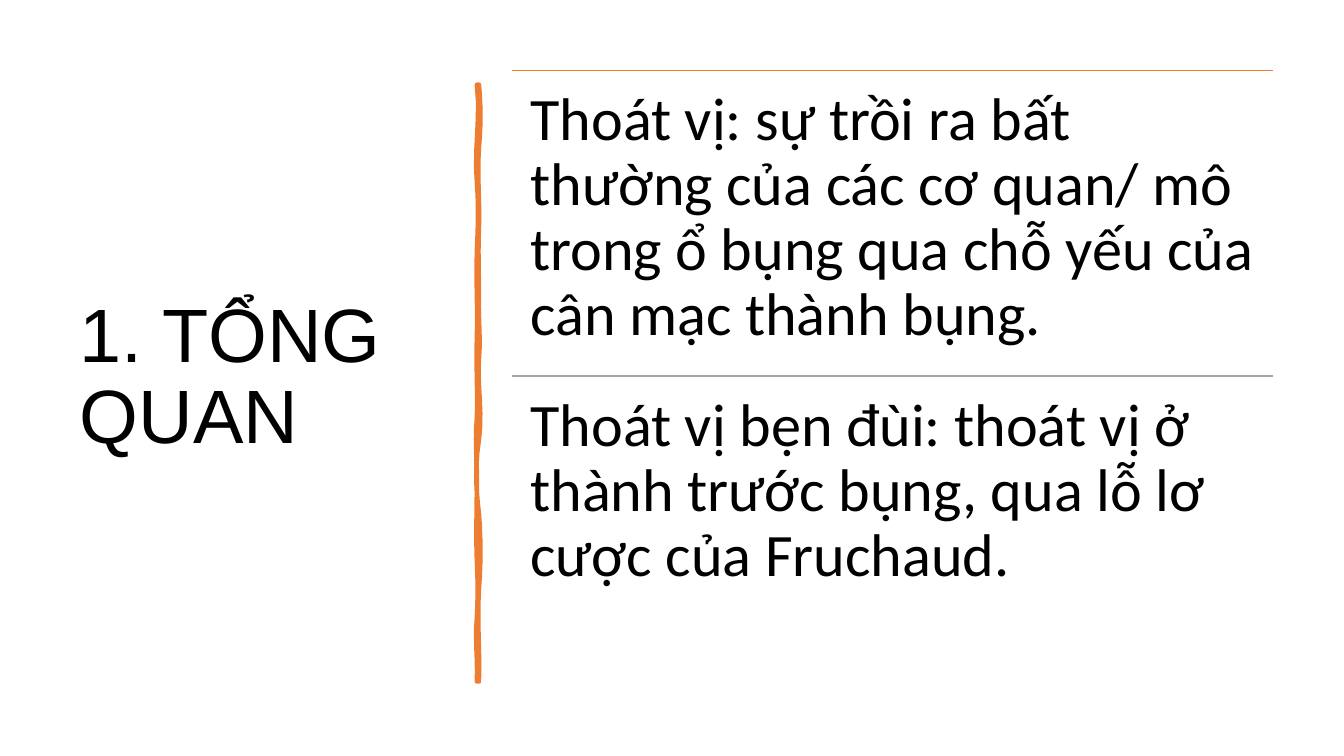
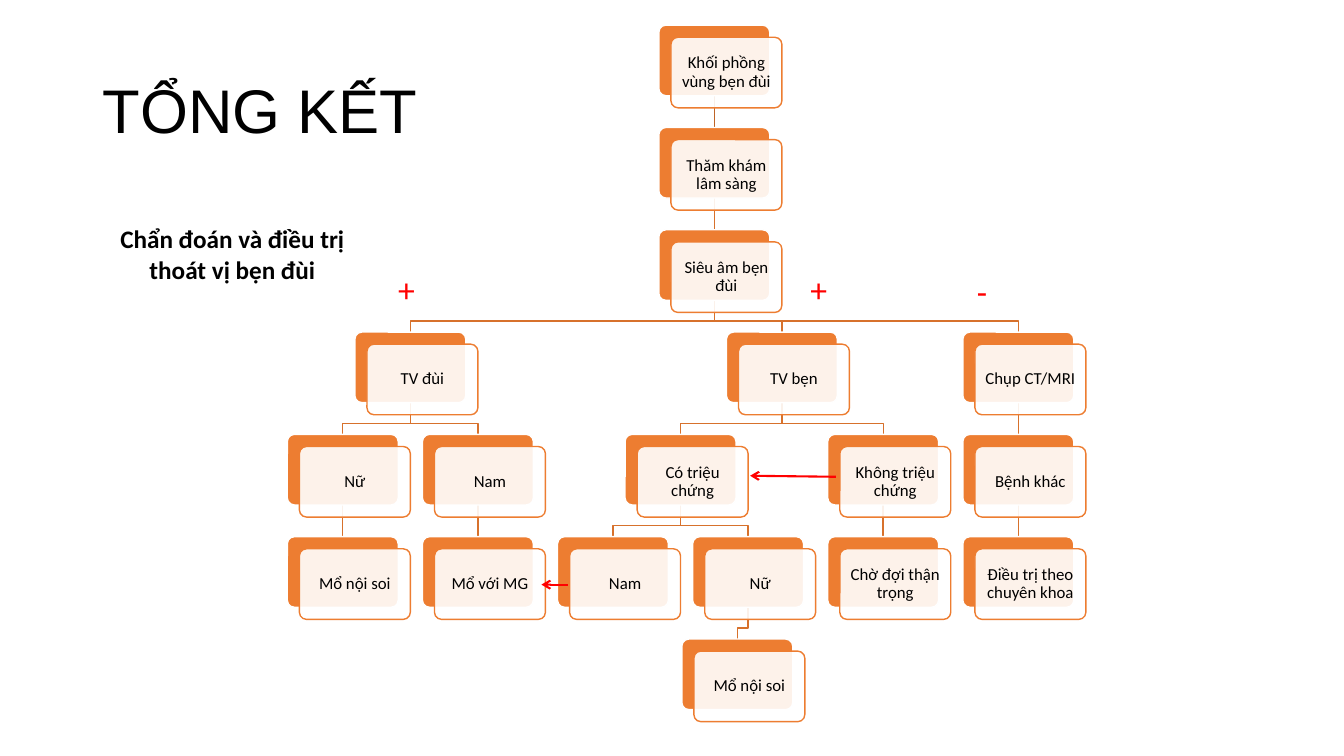
from collections import namedtuple
from dataclasses import dataclass

from pptx import Presentation
from pptx.dml.color import RGBColor
from pptx.enum.shapes import MSO_CONNECTOR, MSO_SHAPE
from pptx.enum.text import MSO_ANCHOR, MSO_AUTO_SIZE, PP_ALIGN
from pptx.oxml.ns import qn
from pptx.util import Inches, Pt
from lxml import etree

LINE = MSO_CONNECTOR.STRAIGHT
ROUNDED = MSO_SHAPE.ROUNDED_RECTANGLE
TOP, MIDDLE = MSO_ANCHOR.TOP, MSO_ANCHOR.MIDDLE
LEFT, CENTER = PP_ALIGN.LEFT, PP_ALIGN.CENTER
NO_FIT = MSO_AUTO_SIZE.NONE
TWO_CONTENT, TITLE_ONLY = 3, 5

Box = namedtuple("Box", "x y w h")
Node = namedtuple("Node", "label col row parent", defaults=(None,))


@dataclass(frozen=True)
class Theme:
    text: str = "000000"
    paper: str = "FFFFFF"
    accent: str = "ED7D31"
    link: str = "D7712C"
    root_link: str = "BE6427"
    rule: str = "A5A5A5"
    mark: str = "FF0000"
    title_font: str = "Arial"
    body_font: str = "Calibri"
    section_size: int = 54
    title_size: int = 44
    body_size: int = 43
    sign_size: int = 24
    caption_size: int = 18
    node_size: int = 12
    leading: float = 0.9


THEME = Theme()

DEFINITIONS = [
    ("Thoát vị: sự trồi ra bất thường của các cơ quan/ mô trong ổ bụng "
     "qua chỗ yếu của cân mạc thành bụng.", THEME.accent),
    ("Thoát vị bẹn đùi: thoát vị ở thành trước bụng, qua lỗ lơ cược của "
     "Fruchaud.", THEME.rule),
]

# Brush edges: two sideways bends and the end height of each curve.
RIGHT_EDGE = [(.02, .02, .62), (-.02, .01, 1.42), (-.01, 0, 2.1),
              (-.01, .02, 2.72), (-.02, .04, 3.52), (-.04, -.03, 4.26),
              (.02, .02, 5), (-.02, .01, 5.92)]
LEFT_EDGE = [(.01, -.02, 5.29), (.01, .01, 4.73), (-.01, 0, 3.93),
             (0, -.02, 3.31), (.01, -.01, 2.51), (.01, -.01, 1.66),
             (.01, .02, .97), (-.03, .04, 0)]

# Columns and rows count card pitches from the top left of the tree.
NODES = {
    "lump": Node("Khối phồng vùng bẹn đùi", 2.75, 0),
    "exam": Node("Thăm khám lâm sàng", 2.75, 1, "lump"),
    "scan": Node("Siêu âm bẹn đùi", 2.75, 2, "exam"),
    "femoral": Node("TV đùi", 0.5, 3, "scan"),
    "femoral_f": Node("Nữ", 0, 4, "femoral"),
    "femoral_f_care": Node("Mổ nội soi", 0, 5, "femoral_f"),
    "femoral_m": Node("Nam", 1, 4, "femoral"),
    "femoral_m_care": Node("Mổ với MG", 1, 5, "femoral_m"),
    "inguinal": Node("TV bẹn", 3.25, 3, "scan"),
    "symptoms": Node("Có triệu chứng", 2.5, 4, "inguinal"),
    "symptoms_m": Node("Nam", 2, 5, "symptoms"),
    "symptoms_f": Node("Nữ", 3, 5, "symptoms"),
    "symptoms_f_care": Node("Mổ nội soi", 2.92, 6, "symptoms_f"),
    "silent": Node("Không triệu chứng", 4, 4, "inguinal"),
    "silent_care": Node("Chờ đợi thận trọng", 4, 5, "silent"),
    "ct": Node("Chụp CT/MRI", 5, 3, "scan"),
    "other": Node("Bệnh khác", 5, 4, "ct"),
    "other_care": Node("Điều trị theo chuyên khoa", 5, 5, "other"),
}
CARD_W, CARD_H = 1.1, 0.7
COL_STEP, ROW_STEP = 1.34, 1.015
FRONT_SHIFT = 0.12
ELBOW_RISE = 0.11


def rgb(color):
    return RGBColor.from_string(color)


def place(shape, box):
    shape.left, shape.top, shape.width, shape.height = map(Inches, box)


def write(shape, text, size, color=THEME.text, font=THEME.body_font,
          bold=False, align=LEFT, anchor=TOP, leading=None, inset=None):
    tf = shape.text_frame
    tf.word_wrap = True
    tf.auto_size = NO_FIT
    tf.vertical_anchor = anchor
    if inset is not None:
        tf.margin_left = tf.margin_right = Inches(inset)
        tf.margin_top = tf.margin_bottom = Inches(inset)
    p = tf.paragraphs[0]
    p.alignment = align
    p.space_before = Pt(0)
    if leading:
        p.line_spacing = leading
    r = p.add_run()
    r.text = text
    r.font.name = font
    r.font.size = Pt(size)
    r.font.bold = bold
    r.font.color.rgb = rgb(color)
    return p


def set_title(s, text, box, size):
    title = s.shapes.title
    place(title, box)
    write(title, text, size, font=THEME.title_font, anchor=MIDDLE,
          leading=THEME.leading)


def add_label(s, text, box, size, **style):
    write(s.shapes.add_textbox(*map(Inches, box)), text, size, **style)


def add_line(s, start, end, color, width=1, arrow=False):
    line = s.shapes.add_connector(LINE, *map(Inches, (*start, *end)))
    line.line.color.rgb = rgb(color)
    line.line.width = Pt(width)
    if arrow:
        etree.SubElement(line.line._get_or_add_ln(), qn("a:tailEnd"),
                         type="arrow")
    etree.SubElement(line._element.spPr, qn("a:effectLst"))


def add_path(s, points, color, width, closed=False):
    """Draw a polyline, filled with its line colour when closed."""
    points = [(Inches(x), Inches(y)) for x, y in points]
    builder = s.shapes.build_freeform(*points[0], scale=1.0)
    builder.add_line_segments(points[1:], close=closed)
    path = builder.convert_to_shape()
    path.shadow.inherit = False
    path.line.color.rgb = rgb(color)
    path.line.width = Pt(width)
    if closed:
        path.fill.solid()
        path.fill.fore_color.rgb = rgb(color)
    else:
        path.fill.background()


def edge_points(x, y, origin_y, curves, steps=6):
    """Sample the bent curves that run along one edge of the brush stroke."""
    points = [(x, y)]
    for bend_1, bend_2, end in curves:
        end += origin_y
        for t in (i / steps for i in range(1, steps + 1)):
            bend = 3 * t * (1 - t) * ((1 - t) * bend_1 + t * bend_2)
            points.append((x + bend, y + t * (end - y)))
        y = end
    return points


def add_brush_stroke(s, box):
    right = edge_points(box.x + box.w, box.y, box.y, RIGHT_EDGE)
    left = edge_points(box.x, box.y + box.h, box.y, LEFT_EDGE)
    add_path(s, right + left, THEME.accent, 3.25, closed=True)


def add_definitions(s, box):
    """Stack the definitions in equal rows, each under its rule."""
    row_h = box.h / len(DEFINITIONS)
    bodies = [ph for ph in s.placeholders if ph.placeholder_format.idx]
    for i, (ph, (text, color)) in enumerate(zip(bodies, DEFINITIONS)):
        y = box.y + i * row_h
        add_line(s, (box.x, y), (box.x + box.w, y), color)
        place(ph, (box.x, y, box.w, row_h))
        p = write(ph, text, THEME.body_size, leading=THEME.leading,
                  inset=0.18)
        pPr = p._p.get_or_add_pPr()
        pPr.set("marL", "0")
        pPr.set("indent", "0")
        etree.SubElement(pPr, qn("a:buNone"))


def node_corner(node, box):
    return box.x + node.col * COL_STEP, box.y + node.row * ROW_STEP


def add_link(s, parent, child, box):
    (x1, y1), (x2, y2) = node_corner(parent, box), node_corner(child, box)
    x1, x2, y1 = x1 + CARD_W / 2, x2 + CARD_W / 2, y1 + CARD_H
    elbow = y2 - ELBOW_RISE
    points = [(x1, y1), (x2, y2)]
    if x1 != x2:
        points[1:1] = [(x1, elbow), (x2, elbow)]
    add_path(s, points, THEME.link if parent.parent else THEME.root_link, 1)


def add_card(s, x, y, fill, line):
    card = s.shapes.add_shape(ROUNDED, *map(Inches, (x, y, CARD_W, CARD_H)))
    card.adjustments[0] = 0.1
    card.shadow.inherit = False
    card.fill.solid()
    card.fill.fore_color.rgb = rgb(fill)
    card.line.color.rgb = rgb(line)
    card.line.width = Pt(1)
    return card


def add_node(s, node, box):
    x, y = node_corner(node, box)
    add_card(s, x, y, THEME.accent, THEME.paper)
    front = add_card(s, x + FRONT_SHIFT, y + FRONT_SHIFT, THEME.paper,
                     THEME.accent)
    color = front._element.spPr.find(qn("a:solidFill"))[0]
    etree.SubElement(color, qn("a:alpha"), val="90000")
    write(front, node.label, THEME.node_size, align=CENTER, anchor=MIDDLE,
          leading=THEME.leading, inset=0.05)


def add_decision_tree(s, box):
    for node in NODES.values():
        if node.parent:
            add_link(s, NODES[node.parent], node, box)
    for node in NODES.values():
        add_node(s, node, box)
    for start, end in [((5.44, 4.48), (4.59, 4.47)),
                       ((2.78, 5.55), (2.52, 5.55))]:
        add_line(s, (box.x + start[0], box.y + start[1]),
                 (box.x + end[0], box.y + end[1]), THEME.mark, 1.5, True)
    for sign, x, y in [("+", 1, 2.37), ("+", 5.09, 2.37), ("-", 6.74, 2.39)]:
        add_label(s, sign, Box(box.x + x, box.y + y, 0.67, 0.5),
                  THEME.sign_size, color=THEME.mark)


def overview_slide(prs):
    s = prs.slides.add_slide(prs.slide_layouts[TWO_CONTENT])
    set_title(s, "1. TỔNG QUAN", Box(0.69, 0.7, 3.74, 6.11),
              THEME.section_size)
    add_brush_stroke(s, Box(4.73, 0.84, 0.02, 5.92))
    add_definitions(s, Box(5.08, 0.7, 7.55, 6.06))


def summary_slide(prs):
    s = prs.slides.add_slide(prs.slide_layouts[TITLE_ONLY])
    set_title(s, "TỔNG KẾT", Box(0.92, 0.4, 11.5, 1.45), THEME.title_size)
    add_decision_tree(s, Box(2.85, 0.25, 7.92, 6.91))
    add_label(s, "Chẩn đoán và điều trị thoát vị bẹn đùi",
              Box(1.09, 2.17, 2.43, 0.71), THEME.caption_size, bold=True,
              align=CENTER)


def main():
    prs = Presentation()
    prs.slide_width, prs.slide_height = Inches(13.33), Inches(7.5)
    overview_slide(prs)
    summary_slide(prs)
    prs.save("out.pptx")


if __name__ == "__main__":
    main()
